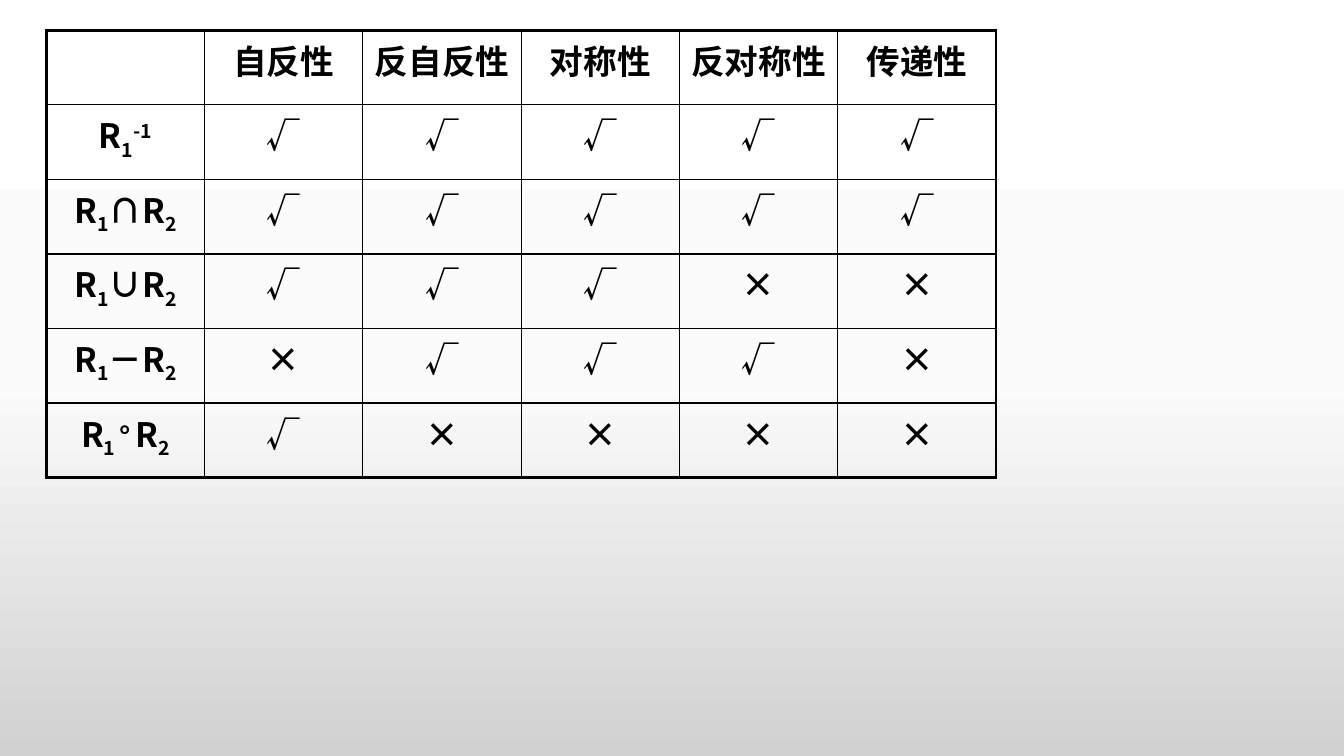
from copy import deepcopy

from lxml import etree
from pptx import Presentation
from pptx.dml.color import RGBColor
from pptx.enum.text import PP_ALIGN
from pptx.oxml.ns import qn
from pptx.util import Inches, Pt

CENTER = PP_ALIGN.CENTER
FONT = "Noto Sans CJK SC"
COLORS = {"ink": "000000", "top": "FFFFFF", "mid": "FBFBFB", "base": "D1D1D1"}
SUB, SUP = -25, 30
THIN, THICK = 1, 2.25
COL, ROW = 1.57, 0.74

HEADS = ["自反性", "反自反性", "对称性", "反对称性", "传递性"]

# Each label is a list of (text, baseline shift in percent, size)
R1 = [("R", 0, 24), ("1", SUB, 24)]
TWO = ("2", SUB, 24)
LABELS = [
    R1 + [("-1", SUP, 24)],
    R1 + [("∩R", 0, 24), TWO],
    R1 + [("∪R", 0, 24), TWO],
    R1 + [("－R", 0, 24), TWO],
    [("R", 0, 24), ("1 ", SUB, 24), ("°", 0, 20), (" ", SUB, 24),
     ("R", 0, 24), TWO],
]
MARKS = ["√√√√√", "√√√√√", "√√√××", "×√√√×", "√××××"]


def plain(text):
    return [(text, 0, 24)]


def paint(slide):
    fill = slide.background.fill
    fill.gradient()
    fill.gradient_angle = 270
    stops = slide.element.find(".//" + qn("a:gsLst"))
    stops.append(deepcopy(stops[-1]))
    names = ["top", "mid", "base"]
    for stop, name, pos in zip(fill.gradient_stops, names, [0, 0.5, 1]):
        stop.color.rgb = RGBColor.from_string(COLORS[name])
        stop.position = pos


def write(cell, parts):
    para = cell.text_frame.paragraphs[0]
    para.alignment = CENTER
    for text, shift, size in parts:
        run = para.add_run()
        run.text = text
        font = run.font
        font.size = Pt(size)
        font.bold = True
        font.name = FONT
        font.color.rgb = RGBColor.from_string(COLORS["ink"])
        props = run.font._element if hasattr(font, "_element") else run._r.rPr
        etree.SubElement(props, qn("a:ea"), typeface=FONT)
        if shift:
            props.set("baseline", str(shift * 1000))


def border(cell, widths):
    props = cell._tc.get_or_add_tcPr()
    for spot, (side, width) in enumerate(widths.items()):
        line = etree.Element(qn("a:ln" + side), w=str(Pt(width)))
        fill = etree.SubElement(line, qn("a:solidFill"))
        etree.SubElement(fill, qn("a:srgbClr"), val=COLORS["ink"])
        props.insert(spot, line)


def add_grid(slide, grid):
    rows, cols = len(grid), len(grid[0])
    table = slide.shapes.add_table(
        rows, cols, Inches(0.46), Inches(0.3),
        Inches(COL * cols), Inches(ROW * rows)).table
    table.first_row = table.horz_banding = False
    for col in table.columns:
        col.width = Inches(COL)
    for r, parts in enumerate(grid):
        table.rows[r].height = Inches(ROW)
        for c, label in enumerate(parts):
            cell = table.cell(r, c)
            cell.fill.background()
            write(cell, label)
            # Heavy lines only around the outside
            edges = {"L": c == 0, "R": c == cols - 1,
                     "T": r == 0, "B": r == rows - 1}
            border(cell, {side: THICK if outer else THIN
                          for side, outer in edges.items()})


def main():
    deck = Presentation()
    deck.slide_width, deck.slide_height = Inches(13.33), Inches(7.5)
    slide = deck.slides.add_slide(deck.slide_layouts[6])
    paint(slide)
    # Header row, then one row for each operation
    grid = [[[]] + [plain(head) for head in HEADS]]
    for label, marks in zip(LABELS, MARKS):
        grid.append([label] + [plain(mark) for mark in marks])
    add_grid(slide, grid)
    deck.save("out.pptx")


if __name__ == "__main__":
    main()
